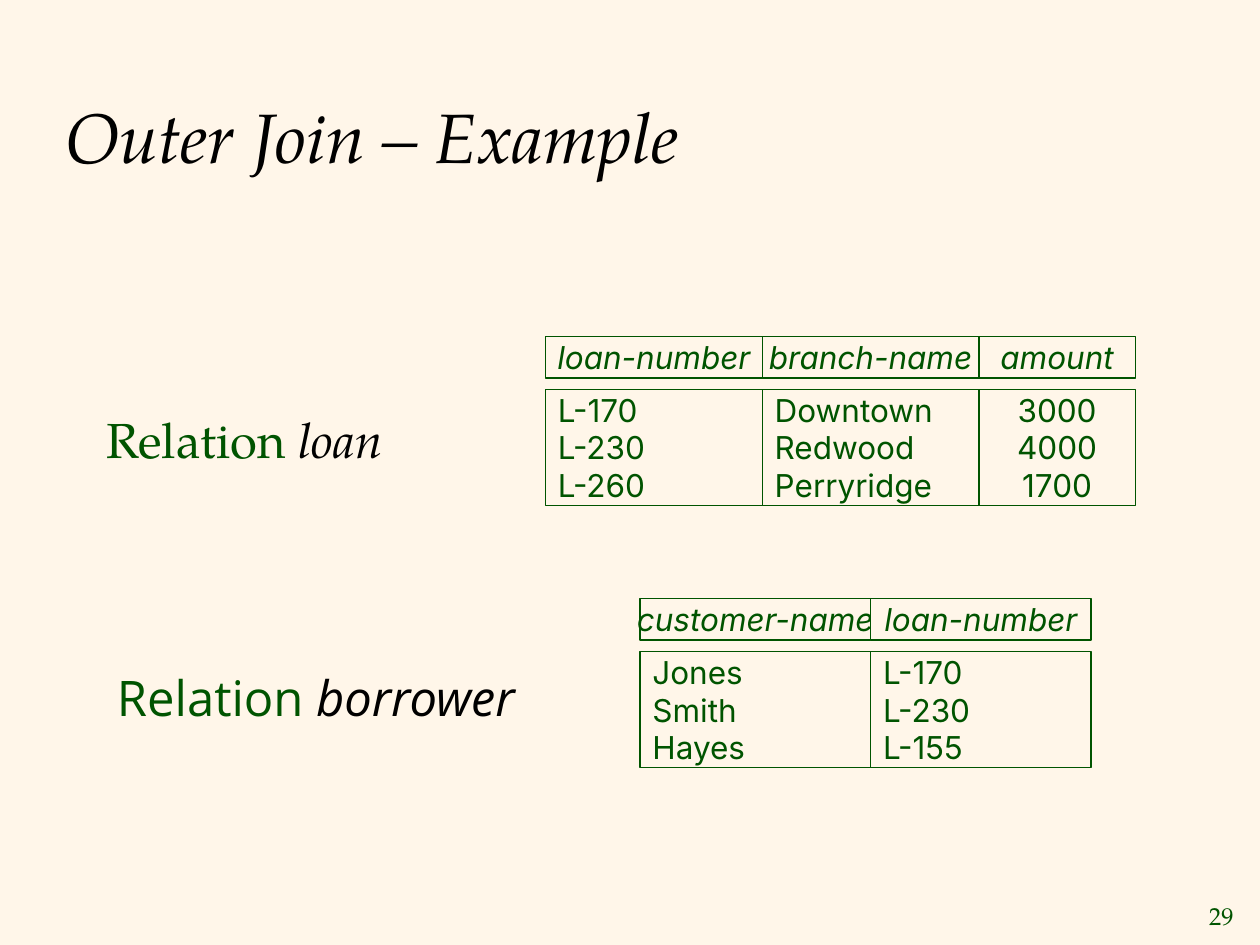
from pptx import Presentation
from pptx.dml.color import RGBColor
from pptx.enum.shapes import MSO_SHAPE as Shape
from pptx.enum.text import MSO_ANCHOR as Anchor, PP_ALIGN as Align
from pptx.util import Inches, Pt

COLORS = {"cream": "FFF6E9", "green": "005400", "black": "000000"}
SERIF, SANS, TABLE_FONT = "TeX Gyre Pagella", "Open Sans", "Inter"

# Content: a column is header, values, width, alignment of the values
RELATIONS = [
    {"left": 4.33, "top": 2.67, "columns": [
        ("loan-number", ["L-170", "L-230", "L-260"], 1.72, Align.LEFT),
        ("branch-name", ["Downtown", "Redwood", "Perryridge"], 1.72, Align.LEFT),
        ("amount", ["3000", "4000", "1700"], 1.24, Align.CENTER)]},
    {"left": 5.08, "top": 4.75, "columns": [
        ("customer-name", ["Jones", "Smith", "Hayes"], 1.83, Align.LEFT),
        ("loan-number", ["L-170", "L-230", "L-155"], 1.75, Align.LEFT)]},
]
LABELS = [
    ("loan", SERIF, (0.75, 3.25, 3.17, 0.45), 0.9),
    ("borrower", SANS, (0.83, 5.25, 3.58, 0.53), 1.0),
]
HEADER_HEIGHT, BODY_HEIGHT, BODY_OFFSET = 0.33, 0.92, 0.42


def rgb(name):
    return RGBColor.from_string(COLORS[name])


def write(shape, lines, font, size, color="green", italic=False, align=Align.LEFT,
          anchor=Anchor.MIDDLE, wrap=False, spacing=None):
    """Each line is a list of runs: text, or (text, color, italic)."""
    frame = shape.text_frame
    frame.word_wrap = wrap
    frame.vertical_anchor = anchor
    for index, runs in enumerate(lines):
        paragraph = frame.add_paragraph() if index else frame.paragraphs[0]
        paragraph.alignment = align
        paragraph.line_spacing = spacing
        for item in runs:
            text, run_color, slanted = (item, color, italic) if isinstance(item, str) else item
            run = paragraph.add_run()
            run.text = text
            run.font.name, run.font.size = font, Pt(size)
            run.font.italic = slanted
            run.font.color.rgb = rgb(run_color)


def add_text(place, lines, font, size, **options):
    box = slide.shapes.add_textbox(*map(Inches, place))
    write(box, lines, font, size, **options)


def add_cell(group, place, texts, **options):
    cell = group.shapes.add_shape(Shape.RECTANGLE, *map(Inches, place))
    cell.shadow.inherit = False
    cell.fill.solid()
    cell.fill.fore_color.rgb = rgb("cream")
    cell.line.color.rgb = rgb("green")
    cell.line.width = Pt(0.75)
    write(cell, [[text] for text in texts], TABLE_FONT, 18, **options)


presentation = Presentation()
presentation.slide_width, presentation.slide_height = Inches(10), Inches(7.5)
slide = presentation.slides.add_slide(presentation.slide_layouts[6])
slide.background.fill.solid()
slide.background.fill.fore_color.rgb = rgb("cream")

# Page number, title and relation labels
add_text((9.45, 7.1, 0.44, 0.33), [["29"]], SERIF, 14, align=Align.RIGHT)
add_text((0.42, 0.67, 6.92, 0.81), [["Outer Join – Example"]], SERIF, 40,
         color="black", italic=True, wrap=True)
for name, font, place, spacing in LABELS:
    add_text(place, [["Relation ", (name, "black", True)]], font, 28,
             anchor=Anchor.TOP, wrap=True, spacing=spacing)

# Relations: a header box above a body box for every column
for relation in RELATIONS:
    group = slide.shapes.add_group_shape()
    left, top = relation["left"], relation["top"]
    for header, values, width, align in relation["columns"]:
        add_cell(group, (left, top, width, HEADER_HEIGHT), [header],
                 italic=True, align=Align.CENTER)
        add_cell(group, (left, top + BODY_OFFSET, width, BODY_HEIGHT), values, align=align)
        left += width

presentation.save("out.pptx")
